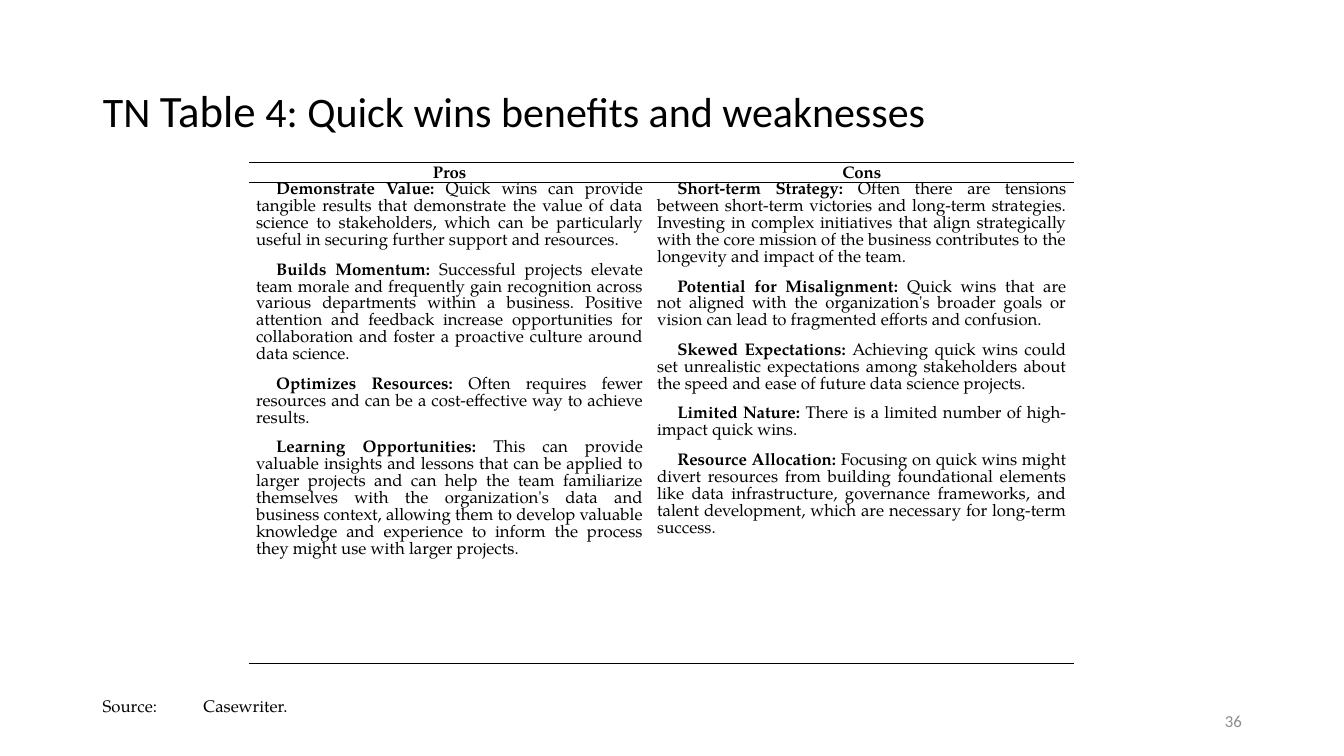
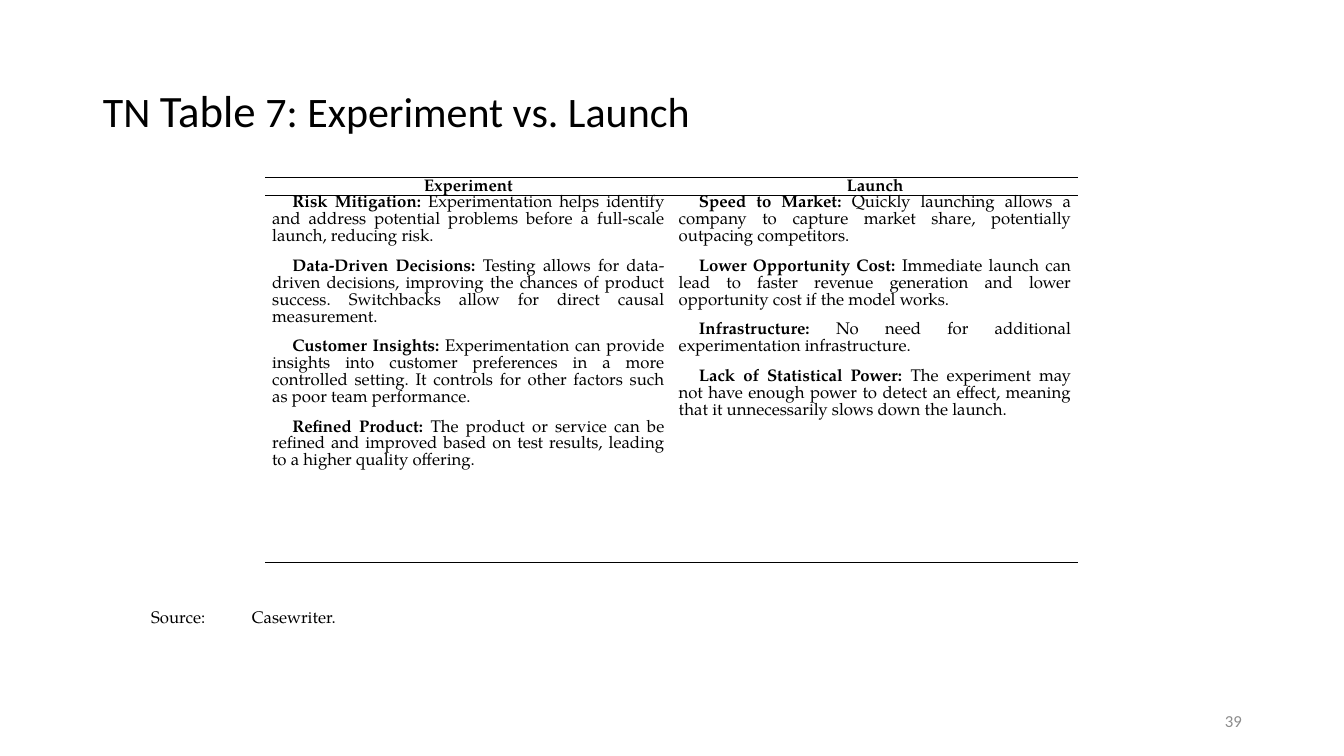
from dataclasses import dataclass

from lxml import etree
from pptx import Presentation
from pptx.dml.color import RGBColor
from pptx.enum.text import MSO_ANCHOR, MSO_AUTO_SIZE, PP_ALIGN
from pptx.oxml.ns import qn
from pptx.util import Inches, Pt

LEFT, RIGHT = PP_ALIGN.LEFT, PP_ALIGN.RIGHT
CENTER, JUSTIFY = PP_ALIGN.CENTER, PP_ALIGN.JUSTIFY
TOP, MIDDLE, BOTTOM = MSO_ANCHOR.TOP, MSO_ANCHOR.MIDDLE, MSO_ANCHOR.BOTTOM
NO_FIT, GROW = MSO_AUTO_SIZE.NONE, MSO_AUTO_SIZE.SHAPE_TO_FIT_TEXT
WIDTH, HEIGHT = Inches(13.333), Inches(7.5)
TITLE_ONLY = 5


@dataclass(frozen=True)
class Theme:
    ink: str = "000000"
    gray: str = "8C8C8C"
    sans: str = "Calibri"
    serif: str = "TeX Gyre Pagella"
    title: float = 30
    accent: float = 32
    text: float = 12
    line: float = 12.1
    rule: float = 1


@dataclass(frozen=True)
class Box:
    """Place and size in percent of the slide."""
    x: float
    y: float
    w: float
    h: float

    def emu(self) -> tuple[int, int, int, int]:
        return across(self.x), down(self.y), across(self.w), down(self.h)


@dataclass(frozen=True)
class Point:
    lead: str
    text: str


@dataclass(frozen=True)
class Column:
    head: str
    width: float
    points: tuple[Point, ...]


@dataclass(frozen=True)
class Page:
    """One table slide; lengths are in percent of the slide."""
    title: str
    number: int
    x: float
    y: float
    rows: tuple[float, float]
    columns: tuple[Column, Column]
    source: Box


THEME = Theme()
TITLE = Box(6.9, 5.33, 86.25, 19.33)
NUMBER = Box(70.65, 92.67, 22.5, 5.33)

PAGES = (
    Page(" 4: Quick wins benefits and weaknesses", 36, 18.53, 21.47, (2.67, 63.6), (
        Column("Pros", 29.85, (
            Point("Demonstrate Value:", "Quick wins can provide tangible results that "
                  "demonstrate the value of data science to stakeholders, which can be "
                  "particularly useful in securing further support and resources."),
            Point("Builds Momentum:", "Successful projects elevate team morale and "
                  "frequently gain recognition across various departments within a "
                  "business. Positive attention and feedback increase opportunities for "
                  "collaboration and foster a proactive culture around data science."),
            Point("Optimizes Resources:", "Often requires fewer resources and can be a "
                  "cost-effective way to achieve results."),
            Point("Learning Opportunities:", "This can provide valuable insights and "
                  "lessons that can be applied to larger projects and can help the team "
                  "familiarize themselves with the organization's data and business "
                  "context, allowing them to develop valuable knowledge and experience "
                  "to inform the process they might use with larger projects."),
        )),
        Column("Cons", 31.5, (
            Point("Short-term Strategy:", "Often there are tensions between short-term "
                  "victories and long-term strategies. Investing in complex initiatives "
                  "that align strategically with the core mission of the business "
                  "contributes to the longevity and impact of the team."),
            Point("Potential for Misalignment:", "Quick wins that are not aligned with "
                  "the organization's broader goals or vision can lead to fragmented "
                  "efforts and confusion."),
            Point("Skewed Expectations:", "Achieving quick wins could set unrealistic "
                  "expectations among stakeholders about the speed and ease of future "
                  "data science projects."),
            Point("Limited Nature:", "There is a limited number of high-impact quick "
                  "wins."),
            Point("Resource Allocation:", "Focusing on quick wins might divert resources "
                  "from building foundational elements like data infrastructure, "
                  "governance frameworks, and talent development, which are necessary "
                  "for long-term success."),
        )),
    ), Box(6.9, 91.33, 15.53, 4)),
    Page(" 7: Experiment vs. Launch", 39, 19.73, 23.47, (2.4, 48.53), (
        Column("Experiment", 30.25, (
            Point("Risk Mitigation:", "Experimentation helps identify and address "
                  "potential problems before a full-scale launch, reducing risk."),
            Point("Data-Driven Decisions:", "Testing allows for data-driven decisions, "
                  "improving the chances of product success. Switchbacks allow for "
                  "direct causal measurement."),
            Point("Customer Insights:", "Experimentation can provide insights into "
                  "customer preferences in a more controlled setting. It controls for "
                  "other factors such as poor team performance."),
            Point("Refined Product:", "The product or service can be refined and "
                  "improved based on test results, leading to a higher quality "
                  "offering."),
        )),
        Column("Launch", 30.25, (
            Point("Speed to Market:", "Quickly launching allows a company to capture "
                  "market share, potentially outpacing competitors."),
            Point("Lower Opportunity Cost:", "Immediate launch can lead to faster "
                  "revenue generation and lower opportunity cost if the model works."),
            Point("Infrastructure:", "No need for additional experimentation "
                  "infrastructure."),
            Point("Lack of Statistical Power:", "The experiment may not have enough "
                  "power to detect an effect, meaning that it unnecessarily slows down "
                  "the launch."),
        )),
    ), Box(10.5, 79.6, 15.53, 4)),
)


def across(share: float) -> int:
    return round(WIDTH * share / 100)


def down(share: float) -> int:
    return round(HEIGHT * share / 100)


def add_run(para, text: str, size: float = THEME.text, font: str = THEME.serif,
            color: str = THEME.ink, bold: bool = False) -> None:
    run = para.add_run()
    run.text = text
    run.font.size, run.font.name, run.font.bold = Pt(size), font, bold
    run.font.color.rgb = RGBColor.from_string(color)


def add_title(slide, text: str) -> None:
    title = slide.shapes.title
    title.left, title.top, title.width, title.height = TITLE.emu()
    frame = title.text_frame
    frame.auto_size, frame.vertical_anchor = NO_FIT, MIDDLE
    para = frame.paragraphs[0]
    para.alignment, para.line_spacing = LEFT, 0.9
    for part, size in (("TN ", THEME.title), ("Table", THEME.accent), (text, THEME.title)):
        add_run(para, part, size, THEME.sans)


def add_label(slide, box: Box, wrap: bool, anchor, align):
    """Add a text box and return its first paragraph."""
    frame = slide.shapes.add_textbox(*box.emu()).text_frame
    frame.word_wrap, frame.vertical_anchor = wrap, anchor
    frame.auto_size = NO_FIT if wrap else GROW
    frame.paragraphs[0].alignment = align
    return frame.paragraphs[0]


def set_cell(cell, edges: str, anchor) -> None:
    """Clear the fill, set the margins and rule only the named edges."""
    cell.margin_left = cell.margin_right = Inches(0.07)
    cell.margin_top = cell.margin_bottom = 0
    cell.vertical_anchor = anchor
    props = cell._tc.get_or_add_tcPr()
    for side in "LRTB":
        line = etree.SubElement(props, qn(f"a:ln{side}"), w=str(Pt(THEME.rule)))
        if side in edges:
            fill = etree.SubElement(line, qn("a:solidFill"))
            etree.SubElement(fill, qn("a:srgbClr"), val=THEME.ink)
        else:
            etree.SubElement(line, qn("a:noFill"))
    cell.fill.background()


def fill_head(cell, text: str) -> None:
    set_cell(cell, "TB", BOTTOM)
    para = cell.text_frame.paragraphs[0]
    para.alignment, para.line_spacing = CENTER, Pt(THEME.line)
    para.space_before = para.space_after = Pt(6)
    add_run(para, text, bold=True)


def fill_body(cell, points: tuple[Point, ...]) -> None:
    set_cell(cell, "TB", TOP)
    frame = cell.text_frame
    for i, point in enumerate(points):
        para = frame.add_paragraph() if i else frame.paragraphs[0]
        para.alignment, para.line_spacing = JUSTIFY, Pt(THEME.line)
        para.space_after = Pt(9)
        para._p.get_or_add_pPr().set("indent", str(Inches(0.2)))
        add_run(para, point.lead, bold=True)
        add_run(para, f" {point.text}")


def add_grid(slide, page: Page) -> None:
    width = sum(column.width for column in page.columns)
    box = Box(page.x, page.y, width, sum(page.rows))
    table = slide.shapes.add_table(len(page.rows), len(page.columns), *box.emu()).table
    table.first_row = table.horz_banding = False
    for row, share in zip(table.rows, page.rows):
        row.height = down(share)
    for i, column in enumerate(page.columns):
        table.columns[i].width = across(column.width)
        fill_head(table.cell(0, i), column.head)
        fill_body(table.cell(1, i), column.points)


def add_page(deck, page: Page) -> None:
    slide = deck.slides.add_slide(deck.slide_layouts[TITLE_ONLY])
    add_grid(slide, page)
    number = add_label(slide, NUMBER, True, MIDDLE, RIGHT)
    add_run(number, str(page.number), font=THEME.sans, color=THEME.gray)
    add_title(slide, page.title)
    add_run(add_label(slide, page.source, False, TOP, LEFT), "Source:\tCasewriter.")


def main() -> None:
    deck = Presentation()
    deck.slide_width, deck.slide_height = WIDTH, HEIGHT
    for page in PAGES:
        add_page(deck, page)
    deck.save("out.pptx")


if __name__ == "__main__":
    main()
